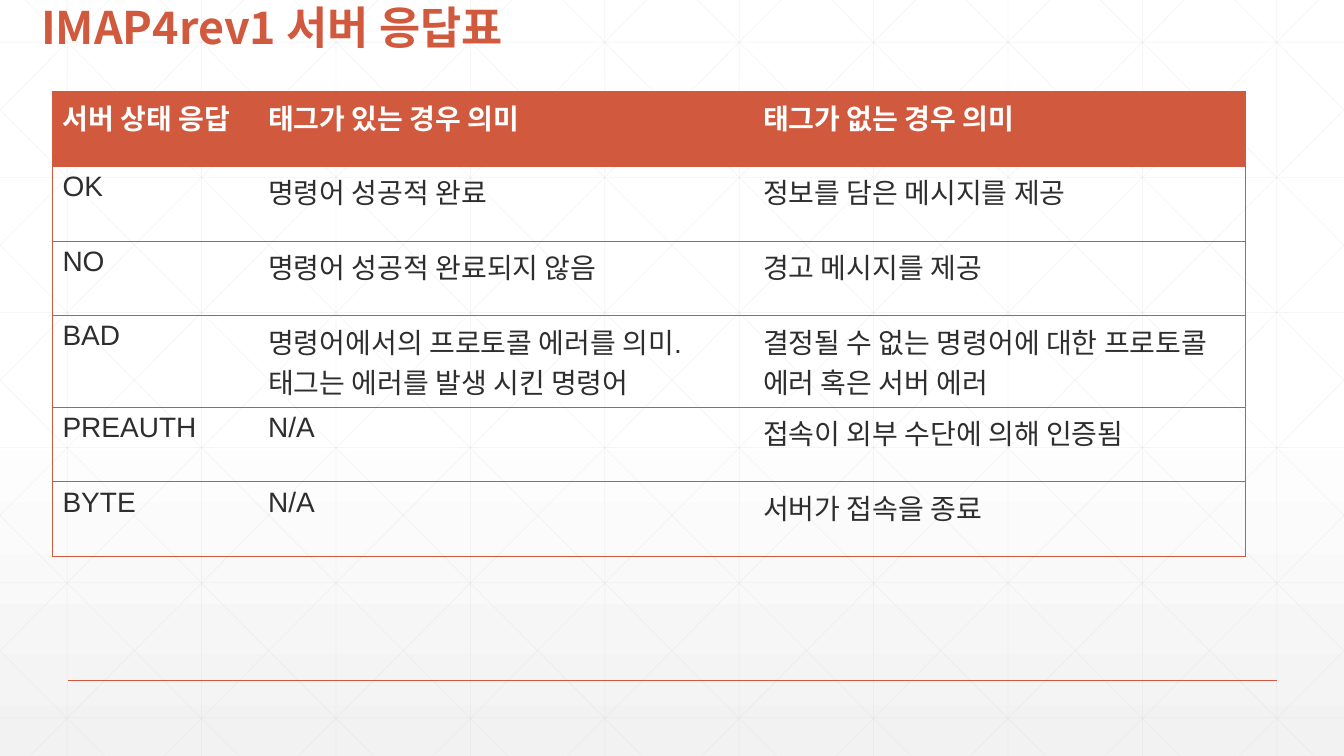
import typing

import lxml.etree
import pptx
import pptx.dml.color
import pptx.enum.dml
import pptx.enum.shapes
import pptx.enum.text
import pptx.oxml
import pptx.oxml.ns
import pptx.util

Inches = pptx.util.Inches
Pt = pptx.util.Pt
RGBColor = pptx.dml.color.RGBColor
qn = pptx.oxml.ns.qn

RED = RGBColor(0xD1, 0x5A, 0x3E)
INK = RGBColor(0x2D, 0x2E, 0x2D)
WHITE = RGBColor(0xFF, 0xFF, 0xFF)
PALE = RGBColor(0xF2, 0xF2, 0xF2)
MESH = RGBColor(0xD9, 0xD9, 0xD9)
GRAY = RGBColor(0x77, 0x77, 0x77)

LATIN = "Arial"
HANGUL = "Noto Sans CJK KR"
WIDE, HIGH = 13.333, 7.5
STEP = 4 / 3
SLOPE = 1.006


class Line(typing.NamedTuple):
    left: float
    top: float
    right: float
    base: float
    color: RGBColor = MESH
    width: float = 0.5
    alpha: int = 25


class Row(typing.NamedTuple):
    cells: tuple[str, str, str]
    high: float = 0.74


ROWS = [
    Row(("서버 상태 응답", "태그가 있는 경우 의미", "태그가 없는 경우 의미")),
    Row(("OK", "명령어 성공적 완료", "정보를 담은 메시지를 제공")),
    Row(("NO", "명령어 성공적 완료되지 않음", "경고 메시지를 제공")),
    Row(("BAD", "명령어에서의 프로토콜 에러를 의미.\n태그는 에러를 발생 시킨 명령어",
         "결정될 수 없는 명령어에 대한 프로토콜 에러 혹은 서버 에러"), 0.91),
    Row(("PREAUTH", "N/A", "접속이 외부 수단에 의해 인증됨")),
    Row(("BYTE", "N/A", "서버가 접속을 종료")),
]
COLS = [2.04, 4.91, 4.88]


def write(frame, text: str, *, size: float, color: RGBColor, bold: bool = False,
          font: str = LATIN, space: float = 1.0) -> None:
    frame.word_wrap = True
    frame.text = text
    for para in frame.paragraphs:
        para.line_spacing = space
        for run in para.runs:
            run.font.name = font
            run.font.size = Pt(size)
            run.font.bold = bold
            run.font.color.rgb = color
            east = lxml.etree.Element(qn("a:ea"), typeface=HANGUL)
            run.font._element.find(qn("a:latin")).addnext(east)


def draw(slide, line: Line) -> None:
    shape = slide.shapes.add_connector(
        pptx.enum.shapes.MSO_CONNECTOR.STRAIGHT,
        Inches(line.left), Inches(line.top), Inches(line.right), Inches(line.base))
    shape.line.color.rgb = line.color
    shape.line.width = Pt(line.width)
    props = shape._element.spPr
    if line.alpha < 100:
        tint = props.find(".//" + qn("a:srgbClr"))
        lxml.etree.SubElement(tint, qn("a:alpha"), val=str(line.alpha * 1000))
    lxml.etree.SubElement(props, qn("a:effectLst"))


def slant(start: float, flip: bool) -> Line:
    """Clip a falling diagonal to the slide, mirrored when flip is set."""
    left, right = max(0, start), min(WIDE, start + HIGH / SLOPE)
    top, base = (left - start) * SLOPE, (right - start) * SLOPE
    if flip:
        left, right = WIDE - left, WIDE - right
    return Line(left, top, right, base)


def edge(cell, sides: dict[str, RGBColor | None]) -> None:
    props = cell._tc.get_or_add_tcPr()
    for spot, (side, color) in enumerate(sides.items()):
        line = lxml.etree.Element(qn("a:ln" + side), w=str(Pt(0.5)))
        if color is None:
            lxml.etree.SubElement(line, qn("a:noFill"))
        else:
            fill = lxml.etree.SubElement(line, qn("a:solidFill"))
            lxml.etree.SubElement(fill, qn("a:srgbClr"), val=str(color))
        props.insert(spot, line)


deck = pptx.Presentation()
deck.slide_width, deck.slide_height = Inches(WIDE), Inches(HIGH)
slide = deck.slides.add_slide(deck.slide_layouts[6])

# Background: white fading to pale gray
back = slide.background.fill
back.gradient()
back.gradient_angle = 270
for stop, place, color in zip(back.gradient_stops, (0.53, 1), (WHITE, PALE)):
    stop.position = place
    stop.color.rgb = color

# Mesh: uprights, levels and both sets of diagonals
mesh = [Line(STEP * (n + 0.5), 0, STEP * (n + 0.5), HIGH) for n in range(10)]
mesh += [Line(0, 0.42 + 1.34 * n, WIDE, 0.42 + 1.34 * n) for n in range(6)]
mesh += [slant(0.25 + STEP * n, flip) for flip in (False, True) for n in range(-5, 10)]
for line in mesh:
    draw(slide, line)

# Footer rule
draw(slide, Line(0.67, 6.75, 12.67, 6.75, RED, 1, 100))

# Title
title = slide.shapes.add_textbox(Inches(0.31), 0, Inches(10.5), Inches(0.59)).text_frame
title.vertical_anchor = pptx.enum.text.MSO_ANCHOR.BOTTOM
write(title, "IMAP4rev1 서버 응답표", size=32, color=RED, bold=True, font=HANGUL, space=0.9)

# Response table
table = slide.shapes.add_table(
    len(ROWS), len(COLS), Inches(0.52), Inches(0.91),
    Inches(sum(COLS)), Inches(sum(row.high for row in ROWS))).table
table.horz_banding = False
for col, wide in zip(table.columns, COLS):
    col.width = Inches(wide)
for r, row in enumerate(ROWS):
    table.rows[r].height = Inches(row.high)
    head = r == 0
    for c, text in enumerate(row.cells):
        cell = table.cell(r, c)
        if head:
            cell.fill.solid()
            cell.fill.fore_color.rgb = RED
        else:
            cell.fill.background()
        write(cell.text_frame, text, size=20, color=WHITE if head else INK, bold=head)
        edge(cell, {
            "L": RED if c == 0 else None,
            "R": RED if c == len(COLS) - 1 else None,
            "T": RED if r < 2 else GRAY,
            "B": RED if r in (0, len(ROWS) - 1) else GRAY,
        })

deck.save("out.pptx")
